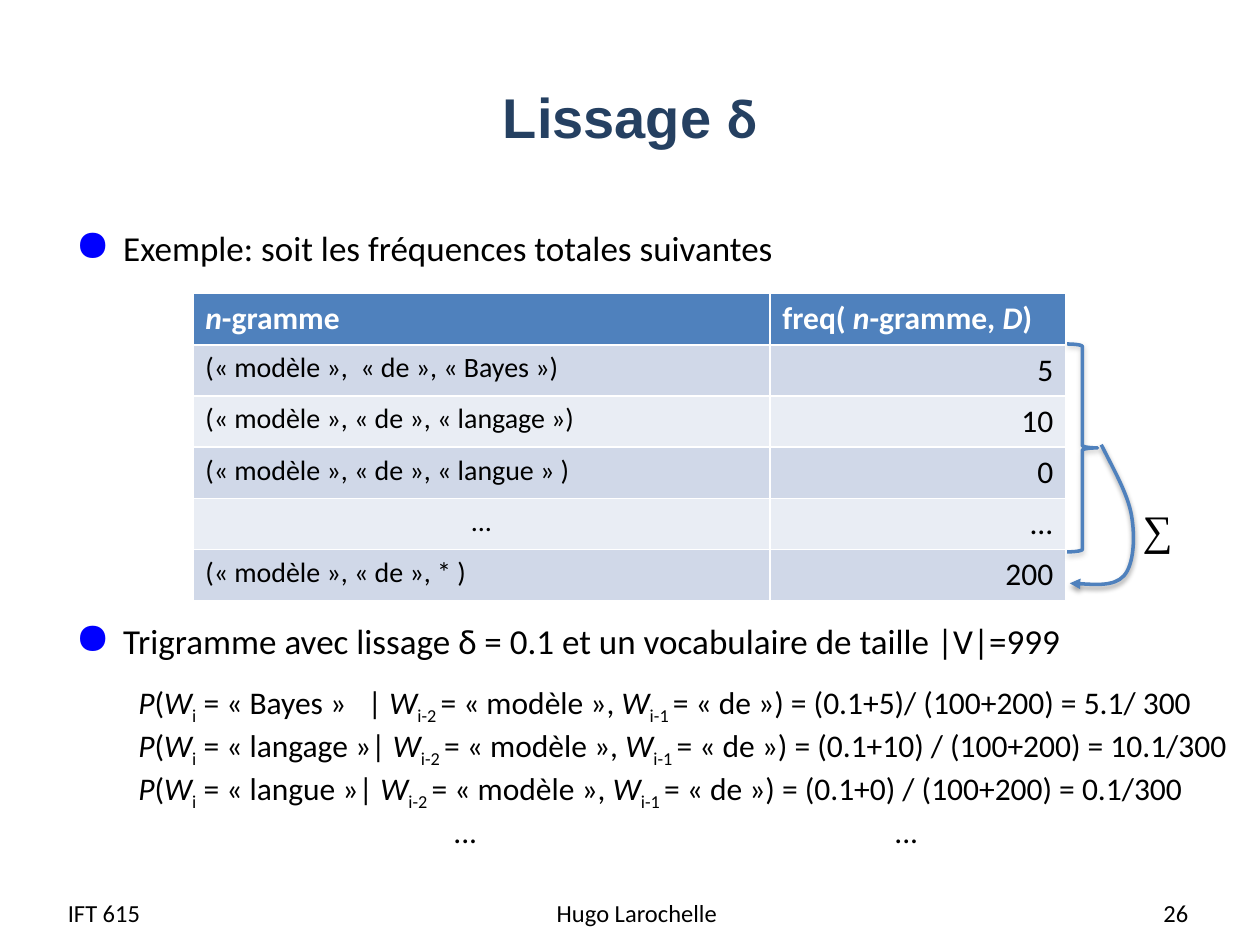
"""Build the slide on delta smoothing of trigram frequencies."""
from dataclasses import dataclass

from lxml import etree
from pptx import Presentation
from pptx import util as u
from pptx.dml.color import RGBColor
from pptx.enum import shapes, text
from pptx.oxml.ns import nsdecls, qn

NBSP = chr(160)


@dataclass(frozen=True)
class Theme:
    """Colours, fonts and type sizes of the slide."""
    title: str = "254061"
    ink: str = "000000"
    white: str = "FFFFFF"
    accent: str = "4F81BD"
    bullet: str = "0000FF"
    bands: tuple = ("D0D8E8", "E9EDF4")
    font: str = "Calibri"
    title_font: str = "Arial"
    symbol_font: str = "Times New Roman"
    title_size: int = 32
    symbol_size: int = 24
    body_size: int = 20
    formula_size: int = 18
    cell_size: int = 16
    footer_size: int = 14


T = Theme()
ALIGN = text.PP_ALIGN


def quote(word):
    """Return the word in French quotation marks."""
    return f"«{NBSP}{word}{NBSP}»"


def append_xml(parent, xml):
    """Append a DrawingML fragment to an element."""
    root = etree.fromstring(f"<root {nsdecls('a')}>{xml}</root>")
    parent.append(root[0])


def add_runs(p, runs, size, color=T.ink, font=T.font, bold=False):
    """Add (text, style) runs, where style is "", "i" or "sub"."""
    for words, style in runs:
        r = p.add_run()
        r.text = words
        r.font.name, r.font.size, r.font.bold = font, u.Pt(size), bold
        r.font.italic = style == "i"
        r.font.color.rgb = RGBColor.from_string(color)
        if style == "sub":
            r._r.get_or_add_rPr().set("baseline", "-25000")


def add_text_box(s, left, top, width, height, wrap=True):
    """Add an empty text box and return its text frame."""
    tf = s.shapes.add_textbox(*map(u.Inches, (left, top, width, height))).text_frame
    tf.word_wrap = wrap
    return tf


def set_title(s):
    """Place and format the title placeholder."""
    sp = s.shapes.title
    sp.left, sp.top, sp.width, sp.height = map(u.Inches, (0.5, 0.3, 9, 1.25))
    sp.text_frame.vertical_anchor = text.MSO_ANCHOR.MIDDLE
    p = sp.text_frame.paragraphs[0]
    p.alignment = ALIGN.CENTER
    for words, font in (("Lissage ", T.title_font), ("δ", T.font)):
        add_runs(p, [(words, "")], T.title_size, T.title, font, bold=True)


def add_bullet(s, top, words):
    """Add a bulleted line."""
    p = add_text_box(s, 0.5, top, 9.5, 0.45).paragraphs[0]
    pPr = p._p.get_or_add_pPr()
    pPr.set("marL", str(u.Inches(0.38)))
    pPr.set("indent", str(u.Inches(-0.38)))
    append_xml(pPr, f'<a:buClr><a:srgbClr val="{T.bullet}"/></a:buClr>')
    append_xml(pPr, '<a:buSzPct val="125000"/>')
    append_xml(pPr, '<a:buChar char="●"/>')
    add_runs(p, [(words, "")], T.body_size)


def set_tabs(p, stops):
    """Set left tab stops, in inches from the text edge."""
    tabs = "".join(f'<a:tab pos="{u.Inches(x)}" algn="l"/>' for x in stops)
    append_xml(p._p.get_or_add_pPr(), f"<a:tabLst>{tabs}</a:tabLst>")


def add_formulas(s):
    """Add the smoothed probabilities and the closing ellipses."""
    tf = add_text_box(s, 1, 5.37, 9, 1.4, wrap=False)
    rows = [("Bayes", "\t| ", "(0.1+5)/ (100+200) = 5.1/ 300"),
            ("langage", "| ", "(0.1+10) / (100+200) = 10.1/300"),
            ("langue", "| ", "(0.1+0) / (100+200) = 0.1/300")]
    for i, (word, bar, result) in enumerate(rows):
        p = tf.add_paragraph() if i else tf.paragraphs[0]
        if "\t" in bar:
            set_tabs(p, [1.82])
        add_runs(p, [("P", "i"), ("(", ""), ("W", "i"), ("i", "sub"),
                     (f" = {quote(word)}{bar}", ""), ("W", "i"), ("i-2 ", "sub"),
                     (f"= {quote('modèle')}, ", ""), ("W", "i"), ("i-1 ", "sub"),
                     (f"= {quote('de')}) = {result}", "")], T.formula_size)
    p = tf.add_paragraph()
    set_tabs(p, [2.5, 6])
    add_runs(p, [("\t...\t...", "")], T.formula_size)


def fill_cell(cell, runs, fill, size, align=ALIGN.LEFT, color=T.ink, bold=False):
    """Fill and format one table cell."""
    cell.fill.solid()
    cell.fill.fore_color.rgb = RGBColor.from_string(fill)
    p = cell.text_frame.paragraphs[0]
    p.alignment = align
    add_runs(p, runs, size, color, bold=bold)


def add_frequency_table(s):
    """Add the table of n-gram frequencies."""
    start = f"({quote('modèle')}, "
    de = quote("de")
    rows = [(f"({quote('modèle')},{NBSP} {de}, {quote('Bayes')})", "5"),
            (f"{start}{de}, {quote('langage')})", "10"),
            (f"{start}{de}, {quote('langue')} )", "0"),
            ("...", "..."),
            (f"{start}{de}, * )", "200")]
    header = [[("n", "i"), ("-gramme", "")],
              [("freq( ", ""), ("n", "i"), ("-gramme, ", ""), ("D", "i"), (")", "")]]
    frame = s.shapes.add_table(len(rows) + 1, 2, *map(u.Inches, (1.53, 2.33, 6.93, 2.44)))
    table = frame.table
    for column, width in zip(table.columns, (4.58, 2.35)):
        column.width = u.Inches(width)
    for col, runs in enumerate(header):
        fill_cell(table.cell(0, col), runs, T.accent, T.formula_size,
                  color=T.white, bold=True)
    for i, (gram, freq) in enumerate(rows):
        band = T.bands[i % 2]
        align = ALIGN.CENTER if gram == "..." else ALIGN.LEFT
        fill_cell(table.cell(i + 1, 0), [(gram, "")], band, T.cell_size, align)
        fill_cell(table.cell(i + 1, 1), [(freq, "")], band, T.formula_size, ALIGN.RIGHT)


def style_outline(sp, shadow):
    """Give a shape an accent outline, no fill and a soft shadow below."""
    sp.fill.background()
    sp.line.color.rgb = RGBColor.from_string(T.accent)
    sp.line.width = u.Pt(2)
    sp.shadow.inherit = False
    effects = sp._element.spPr.find(qn("a:effectLst"))
    append_xml(effects, f'<a:outerShdw blurRad="{u.Pt(3.1)}" dist="{u.Pt(1.6)}" '
                        f'dir="5400000" rotWithShape="0"><a:srgbClr val="{shadow}">'
                        '<a:alpha val="38000"/></a:srgbClr></a:outerShdw>')


def add_brace(s):
    """Add the brace that gathers the frequency rows."""
    sp = s.shapes.add_shape(shapes.MSO_SHAPE.RIGHT_BRACE,
                            *map(u.Inches, (8.47, 2.73, 0.24, 1.65)))
    sp.adjustments[0] = 0.08
    style_outline(sp, "808080")


def add_curved_arrow(s):
    """Add the curved arrow from the brace to the total."""
    start, *points = [(u.Inches(x), u.Inches(y)) for x, y in (
        (8.74, 3.53), (8.84, 3.73), (8.95, 3.92), (8.98, 4.09), (9.01, 4.26),
        (9, 4.48), (8.92, 4.57), (8.84, 4.66), (8.49, 4.63), (8.49, 4.63))]
    builder = s.shapes.build_freeform(*start)
    builder.add_line_segments(points, close=False)
    sp = builder.convert_to_shape()
    lines = sp._element.xpath(".//a:lnTo")
    for i in range(0, len(lines), 3):
        curve = etree.Element(qn("a:cubicBezTo"))
        lines[i].addprevious(curve)
        for line in lines[i:i + 3]:
            curve.append(line[0])
            line.getparent().remove(line)
    style_outline(sp, "000000")
    append_xml(sp._element.spPr.find(qn("a:ln")), '<a:tailEnd type="triangle"/>')


def add_footer(s, left, width, words, align):
    """Add one footer text."""
    tf = add_text_box(s, left, 7.04, width, 0.4)
    tf.vertical_anchor = text.MSO_ANCHOR.MIDDLE
    tf.paragraphs[0].alignment = align
    add_runs(tf.paragraphs[0], [(words, "")], T.footer_size)


def main():
    """Build and save the slide."""
    prs = Presentation()
    prs.slide_width, prs.slide_height = u.Inches(10), u.Inches(7.5)
    s = prs.slides.add_slide(prs.slide_layouts[5])
    set_title(s)
    add_bullet(s, 1.75, "Exemple: soit les fréquences totales suivantes")
    add_bullet(s, 4.87, "Trigramme avec lissage δ = 0.1 et un vocabulaire de taille |V|=999")
    add_formulas(s)
    for footer in ((0.44, 1.93, "IFT 615", ALIGN.LEFT),
                   (3.47, 3.17, "Hugo Larochelle", ALIGN.CENTER),
                   (7.2, 2.33, "26", ALIGN.RIGHT)):
        add_footer(s, *footer)
    add_frequency_table(s)
    add_brace(s)
    tf = add_text_box(s, 8.97, 3.95, 0.44, 0.51, wrap=False)
    add_runs(tf.paragraphs[0], [("∑", "")], T.symbol_size, font=T.symbol_font)
    add_curved_arrow(s)
    prs.save("out.pptx")


if __name__ == "__main__":
    main()
